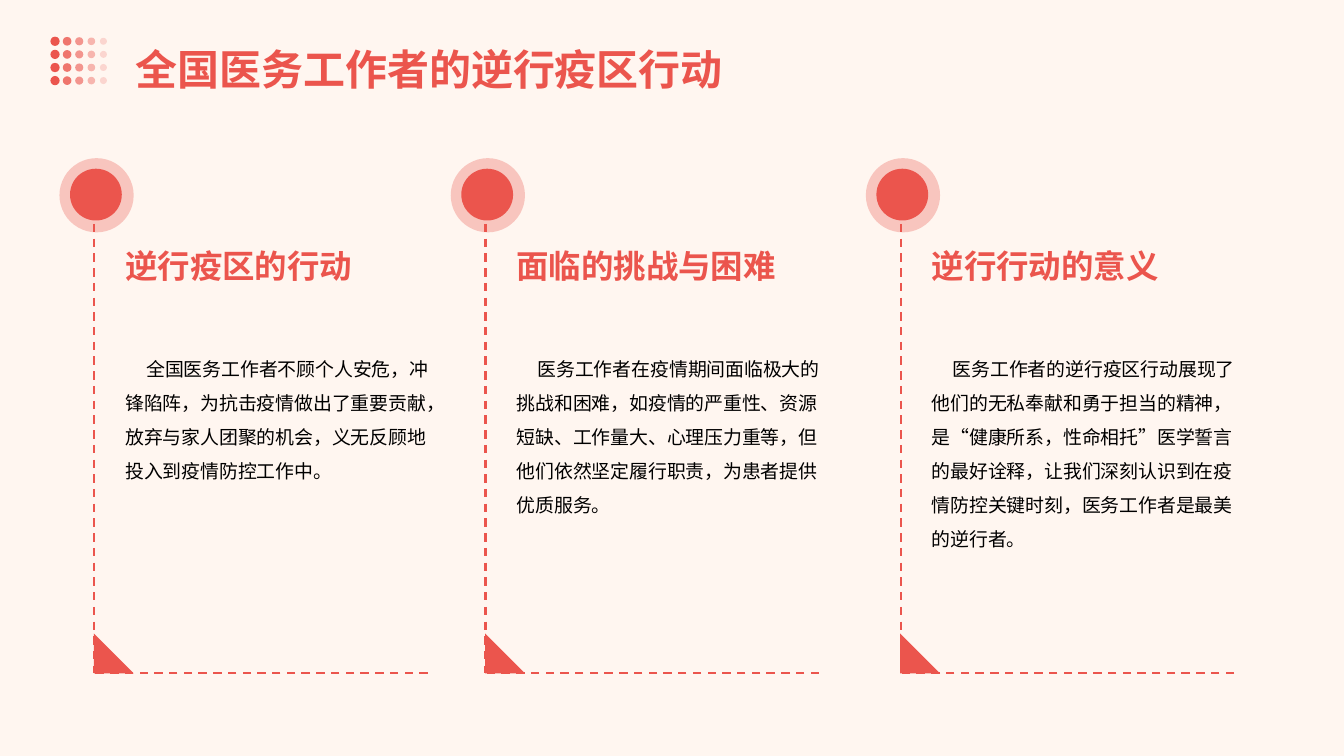
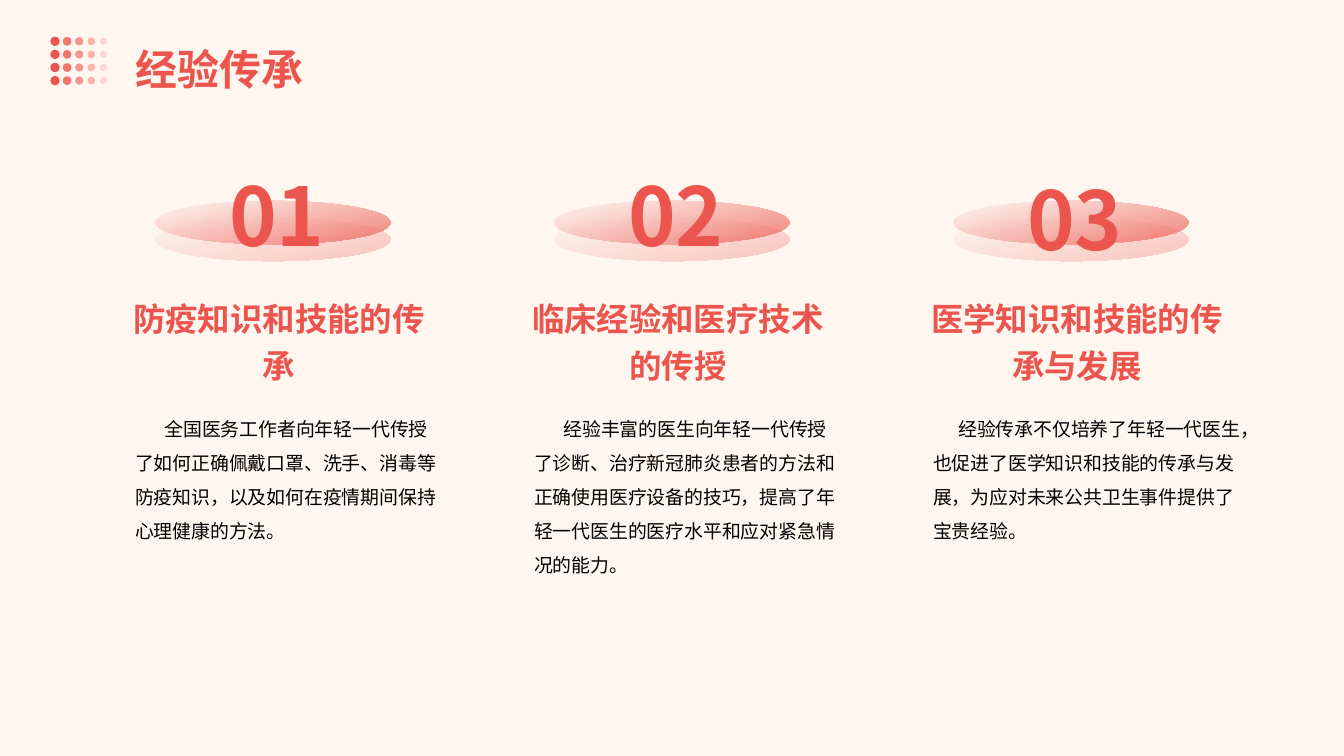
from pptx import Presentation
from pptx.dml.color import RGBColor
from pptx.enum.dml import MSO_LINE
from pptx.enum.shapes import MSO_CONNECTOR, MSO_SHAPE
from pptx.enum.text import MSO_AUTO_SIZE, PP_ALIGN
from pptx.oxml.ns import qn
from pptx.util import Pt
from lxml.etree import SubElement

COLORS = {"background": "FFF6F0", "accent": "EB554D", "body": "000000"}
FONT = "Noto Sans CJK SC"

ACTIONS = [
    (42.5, "逆行疫区的行动",
     "全国医务工作者不顾个人安危，冲锋陷阵，为抗击疫情做出了重要贡献，"
     "放弃与家人团聚的机会，义无反顾地投入到疫情防控工作中。"),
    (322, "面临的挑战与困难",
     "医务工作者在疫情期间面临极大的挑战和困难，如疫情的严重性、资源短缺、"
     "工作量大、心理压力重等，但他们依然坚定履行职责，为患者提供优质服务。"),
    (618.5, "逆行行动的意义",
     "医务工作者的逆行疫区行动展现了他们的无私奉献和勇于担当的精神，"
     "是“健康所系，性命相托”医学誓言的最好诠释，让我们深刻认识到在疫情防控关键时刻，"
     "医务工作者是最美的逆行者。"),
]
# number, top of the number, heading, body, first-line indent
LESSONS = [
    ("01", 80.5, "防疫知识和技能的传承",
     "全国医务工作者向年轻一代传授了如何正确佩戴口罩、洗手、消毒等防疫知识，"
     "以及如何在疫情期间保持心理健康的方法。", 21),
    ("02", 80.5, "临床经验和医疗技术的传授",
     "经验丰富的医生向年轻一代传授了诊断、治疗新冠肺炎患者的方法和正确使用医疗设备的技巧，"
     "提高了年轻一代医生的医疗水平和应对紧急情况的能力。", 21),
    ("03", 83.5, "医学知识和技能的传承与发展",
     "经验传承不仅培养了年轻一代医生，也促进了医学知识和技能的传承与发展，"
     "为应对未来公共卫生事件提供了宝贵经验。", 18),
]


def color(name):
    return RGBColor.from_string(COLORS[name])


def set_opacity(shape, percent):
    """Apply one opacity to every colour in the shape's fill."""
    for element in shape.fill._xPr.iter(qn("a:srgbClr")):
        SubElement(element, qn("a:alpha"), val=str(percent * 1000))


def add_accent_shape(shapes, kind, left, top, width, height, opacity=100):
    shape = shapes.add_shape(kind, Pt(left), Pt(top), Pt(width), Pt(height))
    shape.shadow.inherit = False
    shape.line.fill.background()
    shape.fill.solid()
    shape.fill.fore_color.rgb = color("accent")
    if opacity < 100:
        set_opacity(shape, opacity)
    return shape


def add_gradient_disc(slide, left, top, opacity):
    disc = add_accent_shape(slide.shapes, MSO_SHAPE.OVAL, left, top, 168, 31)
    disc.fill.gradient()
    disc.fill.gradient_angle = 285
    for stop, name in zip(disc.fill.gradient_stops, ("background", "accent")):
        stop.color.rgb = color(name)
    set_opacity(disc, opacity)


def add_dashed_line(slide, start, end):
    line = slide.shapes.add_connector(
        MSO_CONNECTOR.STRAIGHT, *(Pt(value) for value in (*start, *end)))
    line.line.color.rgb = color("accent")
    line.line.width = Pt(1.5)
    line.line.dash_style = MSO_LINE.DASH
    SubElement(line._element.spPr, qn("a:effectLst"))


def add_text(slide, text, left, top, width, height, size, spacing,
             color_name="accent", align=PP_ALIGN.LEFT, indent=0):
    box = slide.shapes.add_textbox(Pt(left), Pt(top), Pt(width), Pt(height))
    frame = box.text_frame
    frame.word_wrap = True
    frame.auto_size = MSO_AUTO_SIZE.SHAPE_TO_FIT_TEXT
    frame.margin_left = frame.margin_top = frame.margin_bottom = Pt(10)
    frame.margin_right = Pt(4.5)
    frame.text = text
    paragraph = frame.paragraphs[0]
    paragraph.alignment = align
    paragraph.line_spacing = spacing
    if indent:
        paragraph._p.get_or_add_pPr().set("indent", str(Pt(indent)))
    font = paragraph.runs[0].font
    font.name = FONT
    font.size = Pt(size)
    font.bold = color_name == "accent"
    font.color.rgb = color(color_name)
    SubElement(font._element, qn("a:ea"), typeface=FONT)


def add_heading(slide, text, left, top, width, align=PP_ALIGN.LEFT):
    add_text(slide, text, left, top, width, 89, 23.2, 1.2, align=align)


def add_body(slide, text, left, top, indent):
    add_text(slide, text, left, top, 236.5, 140, 13.5, 1.5, "body", indent=indent)


def add_title(slide, text):
    """Place the fading dot grid and the slide title."""
    dots = slide.shapes.add_group_shape().shapes
    for row in range(4):
        for column in range(5):
            size = 6.6 - 0.4 * column
            add_accent_shape(dots, MSO_SHAPE.OVAL,
                             39.3 + 8.65 * column - size / 2,
                             29.5 + 9.36 * row - size / 2,
                             size, size, 100 - 20 * column)
    add_text(slide, text, 86.5, 7, 788, 72, 30, 1.4)


def add_action_column(slide, left, top, heading, body):
    axis, bottom = left + 24.5, top + 367.5
    add_accent_shape(slide.shapes, MSO_SHAPE.OVAL, left, top, 53, 53, 30)
    add_accent_shape(slide.shapes, MSO_SHAPE.OVAL, left + 7.5, top + 7.5, 37, 37)
    add_accent_shape(slide.shapes, MSO_SHAPE.RIGHT_TRIANGLE, axis, bottom - 28, 28.5, 28.5)
    add_dashed_line(slide, (axis + 0.3, top + 47), (axis + 0.3, bottom))
    add_dashed_line(slide, (axis + 238.5, bottom), (axis, bottom))
    add_heading(slide, heading, left + 37, top + 47, 236)
    add_body(slide, body, left + 37, top + 124.5, 15)


def add_lesson_column(slide, left, number, number_top, heading, body, indent):
    add_gradient_disc(slide, left + 31, 155.5, 30)
    add_gradient_disc(slide, left + 31, 143.5, 70)
    add_heading(slide, heading, left, 198, 233, PP_ALIGN.CENTER)
    add_body(slide, body, left + 6.5, 280, indent)
    add_text(slide, number, left + 36.5, number_top, 157, 121, 57.8, 1.4,
             align=PP_ALIGN.CENTER)


def build_actions_slide(slide):
    for left, heading, body in ACTIONS:
        add_action_column(slide, left, 113, heading, body)
    add_title(slide, "全国医务工作者的逆行疫区行动")


def build_lessons_slide(slide):
    for index, lesson in enumerate(LESSONS):
        add_lesson_column(slide, 80 + 285 * index, *lesson)
    add_title(slide, "经验传承")


def main():
    presentation = Presentation()
    presentation.slide_width, presentation.slide_height = Pt(960), Pt(540)
    background = presentation.slide_master.background.fill
    background.solid()
    background.fore_color.rgb = color("background")
    for build in (build_actions_slide, build_lessons_slide):
        build(presentation.slides.add_slide(presentation.slide_layouts[6]))
    presentation.save("out.pptx")


if __name__ == "__main__":
    main()
